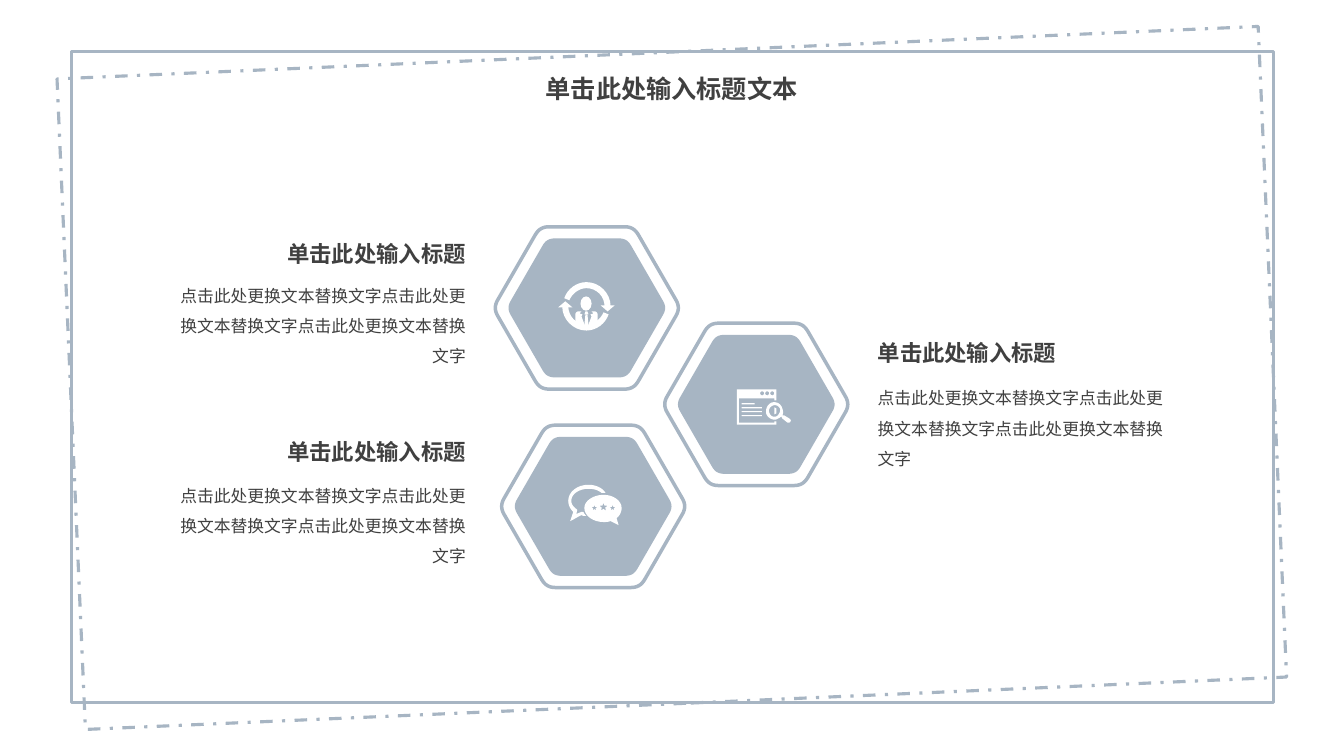
"""Build a slide with three hexagon icons, each with a heading and a short text."""
from math import cos, pi, sin

from lxml.etree import SubElement
from pptx import Presentation
from pptx.dml.color import RGBColor
from pptx.enum.dml import MSO_LINE
from pptx.enum.shapes import MSO_SHAPE
from pptx.enum.text import MSO_ANCHOR, MSO_AUTO_SIZE, PP_ALIGN
from pptx.oxml.ns import qn
from pptx.util import Cm, Pt

BLUE, WHITE, DARK = "A7B5C3", "FFFFFF", "404040"
FONT = "Noto Sans CJK SC"
GRID = Cm(2.54) / 100


def paint(target, fill=None, line=None, width=2.25):
    """Set the fill and line of a shape, or the colour of a font."""
    if hasattr(target, "bold"):
        target.color.rgb = RGBColor.from_string(fill)
        return
    target.shadow.inherit = False
    if fill:
        target.fill.solid()
        target.fill.fore_color.rgb = RGBColor.from_string(fill)
    else:
        target.fill.background()
    if line:
        target.line.color.rgb = RGBColor.from_string(line)
        target.line.width = Pt(width)
    else:
        target.line.fill.background()


def outline(origin, contours, flip=(1, 1), fill=WHITE, line=None):
    """Draw closed contours of points (x, y) and cubic curves (six numbers)."""
    builder = None
    for contour in contours:
        points = []
        for step in contour:
            if len(step) == 2:
                points.append(step)
                continue
            (x0, y0), (x1, y1, x2, y2, x3, y3) = points[-1], step
            for t in (i / 8 for i in range(1, 9)):
                a, b, c, d = (1 - t) ** 3, 3 * t * (1 - t) ** 2, 3 * t * t * (1 - t), t ** 3
                points.append((a * x0 + b * x1 + c * x2 + d * x3,
                               a * y0 + b * y1 + c * y2 + d * y3))
        points = [(round(origin[0] + x * flip[0] * GRID), round(origin[1] + y * flip[1] * GRID))
                  for x, y in points]
        if builder is None:
            builder = shapes.build_freeform(*points[0], scale=1.0)
        else:
            builder.move_to(*points[0])
        builder.add_line_segments(points[1:], close=True)
    paint(builder.convert_to_shape(), fill, line, 2.5)


presentation = Presentation()
presentation.slide_width, presentation.slide_height = Cm(33.87), Cm(19.05)
slide = presentation.slides.add_slide(presentation.slide_layouts[5])
shapes = slide.shapes

for left, top, rotation in ((1.78, 1.32, 357.5), (1.8, 1.3, 0)):
    frame = shapes.add_shape(MSO_SHAPE.RECTANGLE, Cm(left), Cm(top), Cm(30.3), Cm(16.41))
    paint(frame, line=BLUE)
    frame.rotation = rotation
    if rotation:
        frame.line.dash_style = MSO_LINE.DASH_DOT

# Hexagon corners are cut at a tenth of the side and joined by a curve.
for x, y in ((14.79, 7.76), (14.95, 12.76), (19.06, 10.19)):
    for radius, fill, line in ((93, None, BLUE), (79.6, BLUE, None)):
        corners = [(radius * cos(k * pi / 3), radius * sin(k * pi / 3)) for k in range(6)]
        contour = []
        for k, (cx, cy) in enumerate(corners):
            (px, py), (nx, ny) = corners[k - 1], corners[(k + 1) % 6]
            contour.append((cx + (px - cx) * 0.1, cy + (py - cy) * 0.1))
            contour.append((cx + (px - cx) * 0.03, cy + (py - cy) * 0.03,
                            cx + (nx - cx) * 0.03, cy + (ny - cy) * 0.03,
                            cx + (nx - cx) * 0.1, cy + (ny - cy) * 0.1))
        outline((Cm(x), Cm(y)), [contour], fill=fill, line=line)

person = (Cm(14.78), Cm(7.72))
head = shapes.add_shape(MSO_SHAPE.OVAL, Cm(14.63), Cm(7.47), Cm(0.28), Cm(0.36))
paint(head, WHITE)
outline(person, [[(1, 8), (2, 8), (1, 5), (-1, 5), (-2, 8)]])
outline(person, [[(1, 8), (-1, 8), (-2, 18), (0, 19), (2, 18)]])
for side in (1, -1):
    outline(person, [[(11, 8), (11, 6, 9, 5, 8, 5), (5, 5), (7, 7), (4, 8), (5, 10),
                      (2, 18), (5, 18, 9, 17, 11, 15)]], (side, 1))
    outline(person, [[(0, 24), (-13, 24, -24, 13, -24, 0), (-18, 0),
                      (-18, 10, -10, 18, 0, 18), (7, 18, 14, 13, 17, 6), (22, 8),
                      (19, 17, 10, 24, 0, 24)]], (side, side))
    outline(person, [[(-14, 1), (-21, -5), (-28, 1)]], (side, side))

window = (Cm(19.08), Cm(10.19))
for row, width in enumerate((0.33, 0.51, 0.51, 0.51)):
    text_line = shapes.add_shape(MSO_SHAPE.RECTANGLE, Cm(18.69), Cm(10.16 + 0.1 * row),
                                 Cm(width), Cm(0.03))
    paint(text_line, WHITE)
outline(window, [[(17, 3), (19, 4), (19, 9), (17, 10)]])
buttons = [[(x, -13), (x + 1, -13, x + 2, -12, x + 2, -11), (x + 2, -10, x + 1, -9, x, -9),
            (x - 1, -9, x - 2, -10, x - 2, -11), (x - 2, -12, x - 1, -13, x, -13)]
           for x in (15, 10, 5)]
outline(window, [[(17, 17), (17, 18), (-18, 18), (-18, -6), (17, -6), (17, -4), (19, -4),
                  (19, -15), (-20, -15), (-20, 20), (19, 20), (19, 17)]] + buttons)
outline(window, [[(32, 14), (27, 11), (25, 11), (26, 9, 26, 7, 25, 4), (24, 0, 20, -3, 15, -2),
                  (11, -1, 8, 4, 9, 9), (10, 13, 15, 16, 19, 15), (21, 14, 23, 13, 24, 12),
                  (25, 14), (30, 18), (31, 18, 31, 18, 32, 18), (32, 18, 33, 18, 33, 17),
                  (34, 16, 33, 15, 32, 14)],
                 [(19, 12), (15, 13, 13, 11, 12, 8), (11, 5, 13, 2, 16, 1),
                  (19, 0, 22, 2, 23, 5), (23, 8, 21, 11, 19, 12)]])

chat = (Cm(15.21), Cm(12.8))
outline(chat, [[(-20, 4), (-22, 4), (-27, 6), (-26, 2), (-27, 1), (-30, -1, -32, -4, -32, -7),
                (-32, -14, -24, -19, -15, -19), (-10, -19, -6, -18, -2, -15), (2, -15),
                (-1, -20, -8, -23, -15, -23), (-26, -23, -35, -16, -35, -7),
                (-35, -3, -33, 1, -30, 4), (-33, 13), (-29, 11), (-26, 9, -23, 8, -22, 7),
                (-21, 8, -19, 8, -17, 8), (-18, 7, -19, 6, -20, 4)]])
stars = [[(x + radius * (0.42 if k % 2 else 1) * sin(k * pi / 5),
           y - radius * (0.42 if k % 2 else 1) * cos(k * pi / 5)) for k in range(10)]
         for x, y, radius in ((-9, 0, 3), (0, -0.8, 4.3), (9, 0, 3))]
outline(chat, [[(18, 0), (18, -7, 10, -13, 0, -13), (-10, -13, -19, -7, -19, 0),
                (-19, 8, -10, 14, 0, 14), (2, 14, 5, 14, 7, 13), (15, 17), (13, 10),
                (16, 8, 18, 4, 18, 0)]] + stars)

HEADING = "单击此处输入标题"
BODY = "点击此处更换文本替换文字" * 3
texts = [(shapes.title, 13.46, 1.73, 6.93, 1.02, "单击此处输入标题文本", 18, PP_ALIGN.CENTER)]
for left, heading_top, body_top, align in ((3.99, 5.92, 6.81, PP_ALIGN.RIGHT),
                                           (3.99, 10.92, 11.86, PP_ALIGN.RIGHT),
                                           (21.87, 8.43, 9.4, PP_ALIGN.LEFT)):
    texts.append((None, left, heading_top, 8, 0.94, HEADING, 16, align))
    texts.append((None, left, body_top, 8, 2.57, BODY, 12, align))

for shape, left, top, width, height, text, size, align in texts:
    box = [Cm(length) for length in (left, top, width, height)]
    shape = shape or shapes.add_textbox(*box)
    shape.left, shape.top, shape.width, shape.height = box
    text_frame = shape.text_frame
    text_frame.word_wrap = True
    text_frame.auto_size = MSO_AUTO_SIZE.SHAPE_TO_FIT_TEXT
    text_frame.vertical_anchor = MSO_ANCHOR.TOP
    paragraph = text_frame.paragraphs[0]
    paragraph.alignment = align
    paragraph.line_spacing = 1.5 if size == 12 else 1.0
    run = paragraph.add_run()
    run.text = text
    run.font.size, run.font.bold, run.font.name = Pt(size), size > 12, FONT
    paint(run.font, DARK)
    SubElement(run.font._element if hasattr(run.font, "_element") else run._r.get_or_add_rPr(),
               qn("a:ea")).set("typeface", FONT)

presentation.save("out.pptx")
